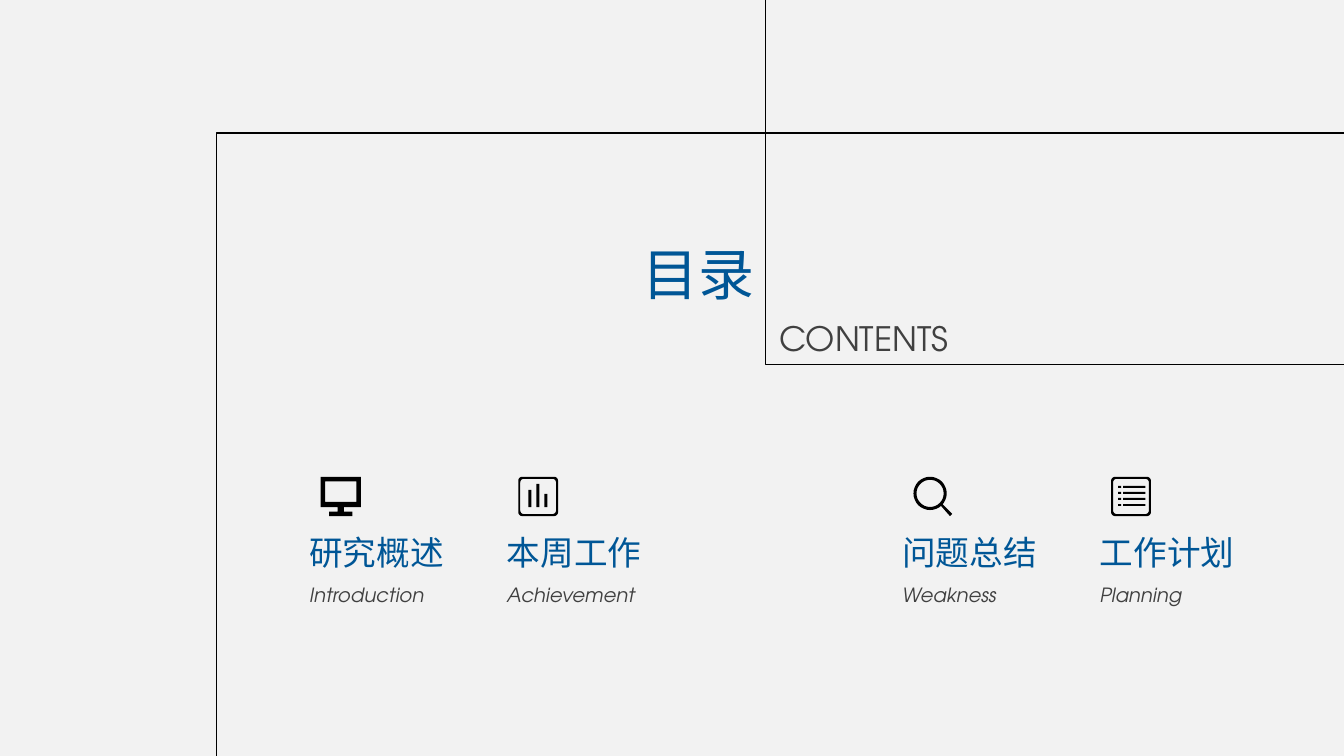
from math import cos, pi, sin

from pptx import Presentation
from pptx.dml.color import RGBColor
from pptx.enum.shapes import MSO_SHAPE as Kind
from pptx.enum.text import MSO_ANCHOR as Anchor, MSO_AUTO_SIZE as Fit, PP_ALIGN as Align
from pptx.util import Inches, Pt

FONT = "TeX Gyre Adventor"
BLUE, GRAY, BLACK = "005696", "404040", "000000"
color = RGBColor.from_string


def write(shape, place, text, size, tint, italic=None):
    shape.left, shape.top, shape.width, shape.height = map(Inches, place)
    frame = shape.text_frame
    frame.text = text
    frame.word_wrap = True
    frame.auto_size = Fit.SHAPE_TO_FIT_TEXT
    frame.vertical_anchor = Anchor.TOP
    font = frame.paragraphs[0].runs[0].font
    font.name, font.size, font.italic = FONT, Pt(size), italic
    font.color.rgb = color(tint)


def outline(left, top, right, bottom, bend=0):
    steps = 8 if bend else 0
    mids = [(right - bend, bottom - bend), (left + bend, bottom - bend),
            (left + bend, top + bend), (right - bend, top + bend)]
    return [(x + bend * cos((turn + step / 8) * pi / 2),
             y + bend * sin((turn + step / 8) * pi / 2))
            for turn, (x, y) in enumerate(mids) for step in range(steps + 1)]


deck = Presentation()
deck.slide_width, deck.slide_height = Inches(13.33), Inches(7.5)
slide = deck.slides.add_slide(deck.slide_layouts[5])
slide.background.fill.solid()
slide.background.fill.fore_color.rgb = color("F2F2F2")
shapes = slide.shapes

for place in [(2.15, 1.32, 12.24, 7.3), (7.59, -1.64, 10.44, 5.26)]:
    border = shapes.add_shape(Kind.RECTANGLE, *map(Inches, place))
    border.shadow.inherit = False
    border.fill.background()
    border.line.color.rgb = color(BLACK)
    border.line.width = Pt(1)

title = shapes.title
write(title, (6.13, 2.33, 1.45, 0.77), "目录", 40, BLUE)
title.text_frame.paragraphs[0].alignment = Align.RIGHT
write(shapes.add_textbox(0, 0, 0, 0), (7.63, 3.1, 3.05, 0.5), "CONTENTS", 24, GRAY)

screen = [
    outline(45, 45, 355, 250),
    [(0, 0), (400, 0), (400, 300), (230, 300), (230, 345), (315, 345),
     (315, 390), (85, 390), (85, 345), (170, 345), (170, 300), (0, 300)],
]
card = [outline(0, 0, 395, 390, 40), outline(20, 20, 375, 370, 35)]
chart = card + [outline(x, top, x + 30, 300)
                for x, top in [(100, 130), (180, 70), (260, 170)]]
lens = [
    outline(0, 0, 330, 330, 165),
    outline(30, 30, 300, 300, 135),
    [(290, 274), (384, 368), (362, 390), (274, 290)],
]
plan = card + [outline(left, 90 + 60 * row, right, 110 + 60 * row)
               for row in range(4) for left, right in [(70, 100), (120, 340)]]

topics = [
    (0, "研究概述", "Introduction", screen),
    (1, "本周工作", "Achievement", chart),
    (3, "问题总结", "Weakness", lens),
    (4, "工作计划", "Planning", plan),
]
for column, name, label, loops in topics:
    left = 2.97 + 1.96 * column
    write(shapes.add_textbox(0, 0, 0, 0), (left, 5.23, 1.86, 0.5), name, 24, BLUE)
    write(shapes.add_textbox(0, 0, 0, 0), (left, 5.73, 1.86, 0.34), label, 14, GRAY, True)
    pen = shapes.build_freeform(*loops[0][0], scale=Inches(1) / 1000)
    pen.add_line_segments(loops[0][1:])
    for loop in loops[1:]:
        pen.move_to(*loop[0])
        pen.add_line_segments(loop[1:])
    icon = pen.convert_to_shape(Inches(left + 0.21), Inches(4.73))
    icon.shadow.inherit = False
    icon.fill.solid()
    icon.fill.fore_color.rgb = color(BLACK)
    icon.line.fill.background()

deck.save("out.pptx")
